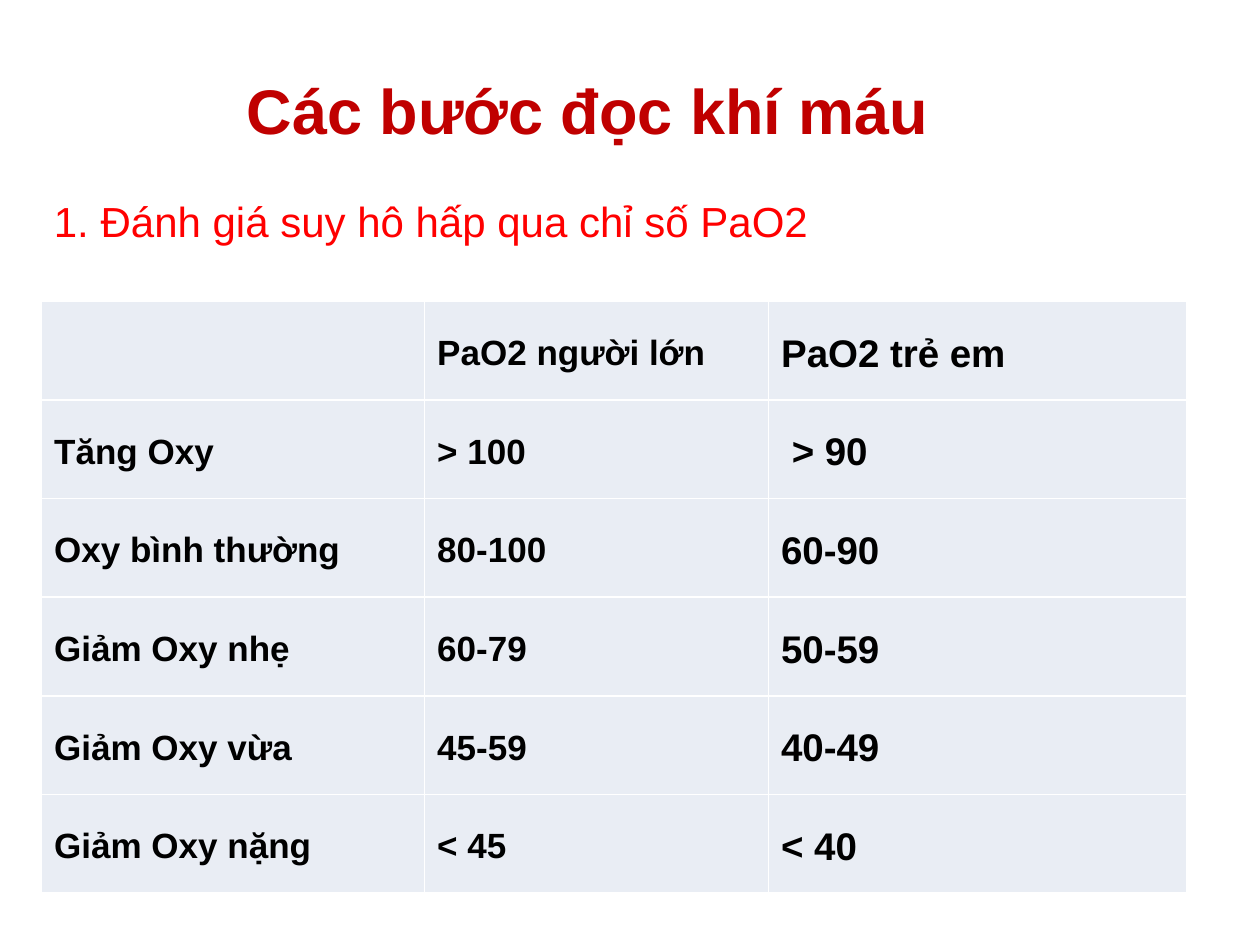
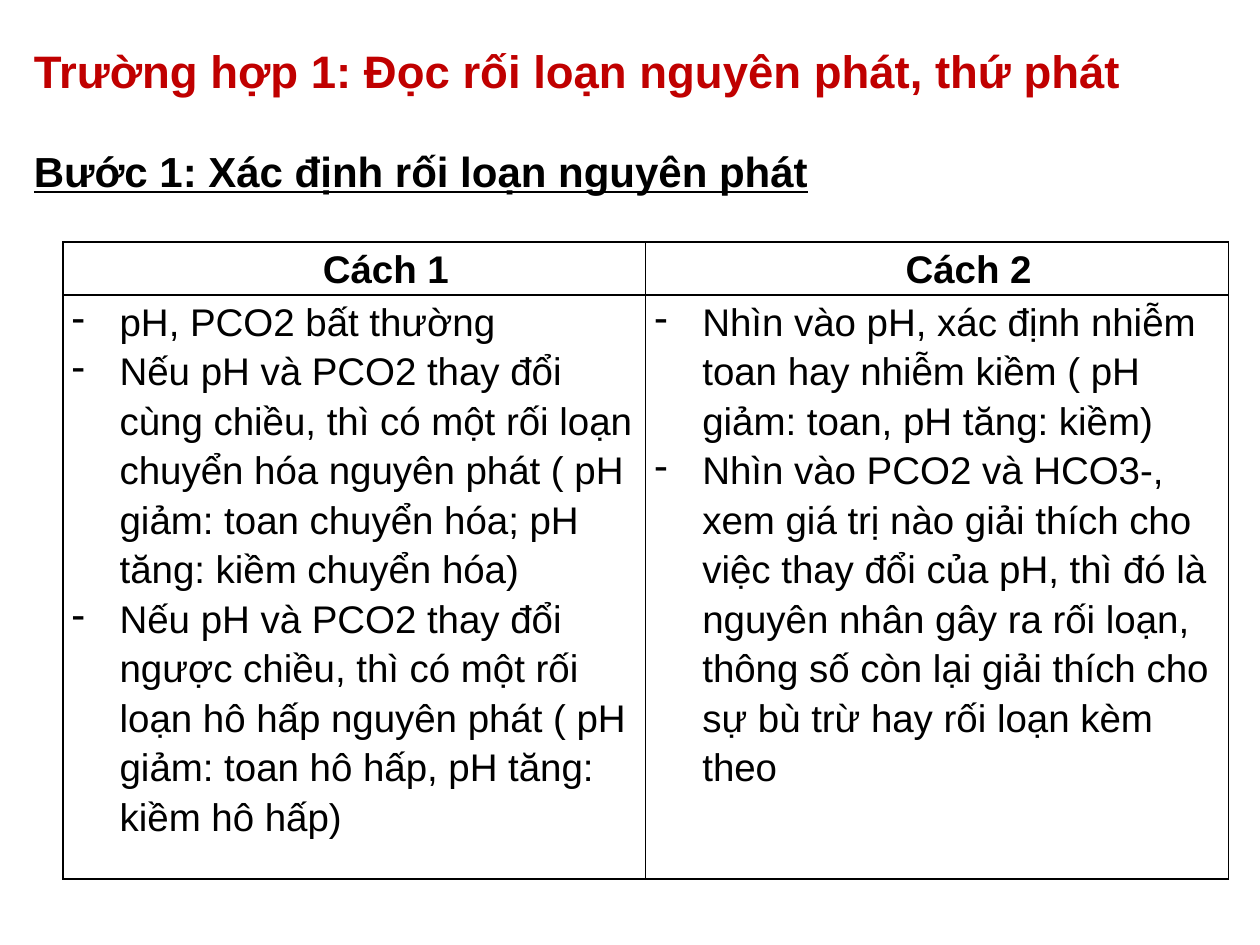
import dataclasses

import lxml.etree
import pptx
import pptx.dml.color
import pptx.enum.text
import pptx.oxml
import pptx.oxml.ns
import pptx.util

Inches = pptx.util.Inches
Pt = pptx.util.Pt
ALIGN = pptx.enum.text.PP_ALIGN
ANCHOR = pptx.enum.text.MSO_ANCHOR
qn = pptx.oxml.ns.qn


@dataclasses.dataclass(frozen=True)
class Theme:
    font: str = "Arial"
    title: str = "C00000"
    accent: str = "FF0000"
    text: str = "000000"
    pale: str = "E9EDF4"
    white: str = "FFFFFF"
    title_size: int = 36
    case_size: int = 26
    heading_size: int = 24
    large_size: int = 22
    label_size: int = 20
    heading_gap: float = 27.6
    line_spacing: float = 1.15


THEME = Theme()

OXYGEN_ROWS = [
    ("", "PaO2 người lớn", "PaO2 trẻ em"),
    ("Tăng Oxy", "> 100", " > 90"),
    ("Oxy bình thường", "80-100", "60-90"),
    ("Giảm Oxy nhẹ", "60-79", "50-59"),
    ("Giảm Oxy vừa", "45-59", "40-49"),
    ("Giảm Oxy nặng", "< 45", "< 40"),
]

METHODS = {
    "Cách 1": [
        "pH, PCO2 bất thường",
        "Nếu pH và PCO2 thay đổi cùng chiều, thì có một rối loạn chuyển hóa "
        "nguyên phát ( pH giảm: toan chuyển hóa; pH tăng: kiềm chuyển hóa)",
        "Nếu pH và PCO2 thay đổi ngược chiều, thì có một rối loạn hô hấp "
        "nguyên phát ( pH giảm: toan hô hấp, pH tăng: kiềm hô hấp)",
    ],
    "Cách 2": [
        "Nhìn vào pH, xác định nhiễm toan hay nhiễm kiềm "
        "( pH giảm: toan, pH tăng: kiềm)",
        "Nhìn vào PCO2 và HCO3-, xem giá trị nào giải thích cho việc thay đổi "
        "của pH, thì đó là nguyên nhân gây ra rối loạn, thông số còn lại "
        "giải thích cho sự bù trừ hay rối loạn kèm theo",
    ],
}


def add_run(paragraph, text, size, color=THEME.text, bold=False, underline=False):
    run = paragraph.add_run()
    run.text = text
    font = run.font
    font.name = THEME.font
    font.size = Pt(size)
    font.bold = bold
    font.underline = underline
    font.color.rgb = pptx.dml.color.RGBColor.from_string(color)


def set_indent(paragraph, left, first_line=0):
    properties = paragraph._p.get_or_add_pPr()
    properties.set("marL", str(Inches(left)))
    properties.set("indent", str(Inches(first_line)))
    return properties


def add_dash(paragraph):
    """Give the paragraph a dash bullet with a hanging indent."""
    properties = set_indent(paragraph, 0.38, -0.38)
    lxml.etree.SubElement(properties, qn("a:buChar")).set("char", "-")


def add_headings(slide, left, top, width, height, inset):
    """Add a heading box; return its title and subtitle paragraphs."""
    box = slide.shapes.add_textbox(
        Inches(left), Inches(top), Inches(width), Inches(height))
    frame = box.text_frame
    frame.word_wrap = True
    frame.margin_top = Inches(inset)
    subtitle = frame.add_paragraph()
    subtitle.space_before = Pt(THEME.heading_gap)
    return frame.paragraphs[0], subtitle


def add_table(slide, left, top, widths, heights):
    """Add a table without banding or a header style."""
    frame = slide.shapes.add_table(
        len(heights), len(widths), Inches(left), Inches(top),
        Inches(sum(widths)), Inches(sum(heights)))
    table = frame.table
    table.first_row = False
    table.horz_banding = False
    for column, width in zip(table.columns, widths):
        column.width = Inches(width)
    for row, height in zip(table.rows, heights):
        row.height = Inches(height)
    return table


def style_cell(cell, border, fill=None):
    if fill:
        cell.fill.solid()
        cell.fill.fore_color.rgb = pptx.dml.color.RGBColor.from_string(fill)
    else:
        cell.fill.background()
    properties = cell._tc.get_or_add_tcPr()
    for position, side in enumerate("LRTB"):
        line = lxml.etree.Element(qn(f"a:ln{side}"), w=str(Pt(1)))
        solid = lxml.etree.SubElement(line, qn("a:solidFill"))
        lxml.etree.SubElement(solid, qn("a:srgbClr")).set("val", border)
        properties.insert(position, line)


def fill_oxygen_table(table):
    for row, texts in enumerate(OXYGEN_ROWS):
        for column, text in enumerate(texts):
            cell = table.cell(row, column)
            style_cell(cell, THEME.white, THEME.pale)
            cell.vertical_anchor = ANCHOR.MIDDLE
            if text:
                paragraph = cell.text_frame.paragraphs[0]
                paragraph.line_spacing = THEME.line_spacing
                paragraph.space_after = Pt(10)
                size = THEME.large_size if column == 2 else THEME.label_size
                add_run(paragraph, text, size, bold=True)


def fill_method_table(table):
    for column, (method, steps) in enumerate(METHODS.items()):
        for row, texts in enumerate(([method], steps)):
            cell = table.cell(row, column)
            style_cell(cell, THEME.text)
            cell.margin_left = cell.margin_right = Inches(0.07)
            cell.margin_top = cell.margin_bottom = 0
            frame = cell.text_frame
            for index, text in enumerate(texts):
                paragraph = frame.add_paragraph() if index else frame.paragraphs[0]
                paragraph.line_spacing = THEME.line_spacing
                if row == 0:
                    paragraph.alignment = ALIGN.CENTER
                    set_indent(paragraph, 0.5)
                else:
                    add_dash(paragraph)
                add_run(paragraph, text, THEME.large_size, bold=row == 0)


def build_oxygen_slide(slide):
    table = add_table(slide, 0.33, 2.39, [3.04, 2.73, 3.32],
                      [4.7 / len(OXYGEN_ROWS)] * len(OXYGEN_ROWS))
    fill_oxygen_table(table)
    title, subtitle = add_headings(slide, 0.33, 0.47, 7.67, 1.92, 0.1)
    title.alignment = ALIGN.CENTER
    set_indent(title, 1)
    add_run(title, "Các bước đọc khí máu", THEME.title_size, THEME.title, bold=True)
    add_run(subtitle, "1. Đánh giá suy hô hấp qua chỉ số PaO2",
            THEME.heading_size, THEME.accent)


def build_method_slide(slide):
    table = add_table(slide, 0.5, 1.92, [4.625] * len(METHODS), [0.39, 4.32])
    fill_method_table(table)
    title, subtitle = add_headings(slide, 0.17, 0.25, 9.25, 1.75, 0.09)
    add_run(title, "Trường hợp 1: Đọc rối loạn nguyên phát, thứ phát",
            THEME.case_size, THEME.title, bold=True)
    add_run(subtitle, "Bước 1: Xác định rối loạn nguyên phát",
            THEME.heading_size, bold=True, underline=True)


def main():
    presentation = pptx.Presentation()
    presentation.slide_width = Inches(10)
    presentation.slide_height = Inches(7.5)
    blank = presentation.slide_layouts[6]
    for build in (build_oxygen_slide, build_method_slide):
        build(presentation.slides.add_slide(blank))
    presentation.save("out.pptx")


if __name__ == "__main__":
    main()
